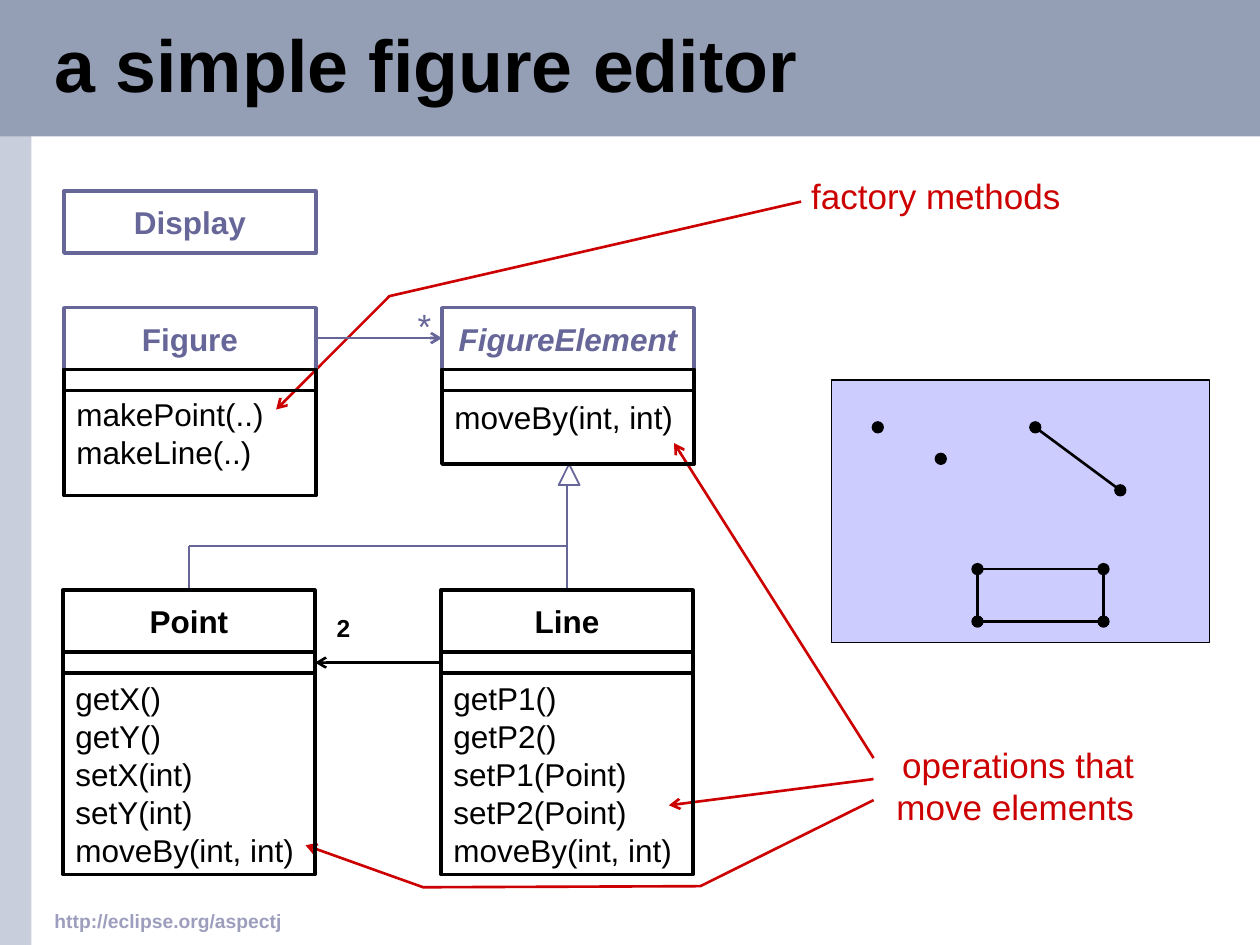
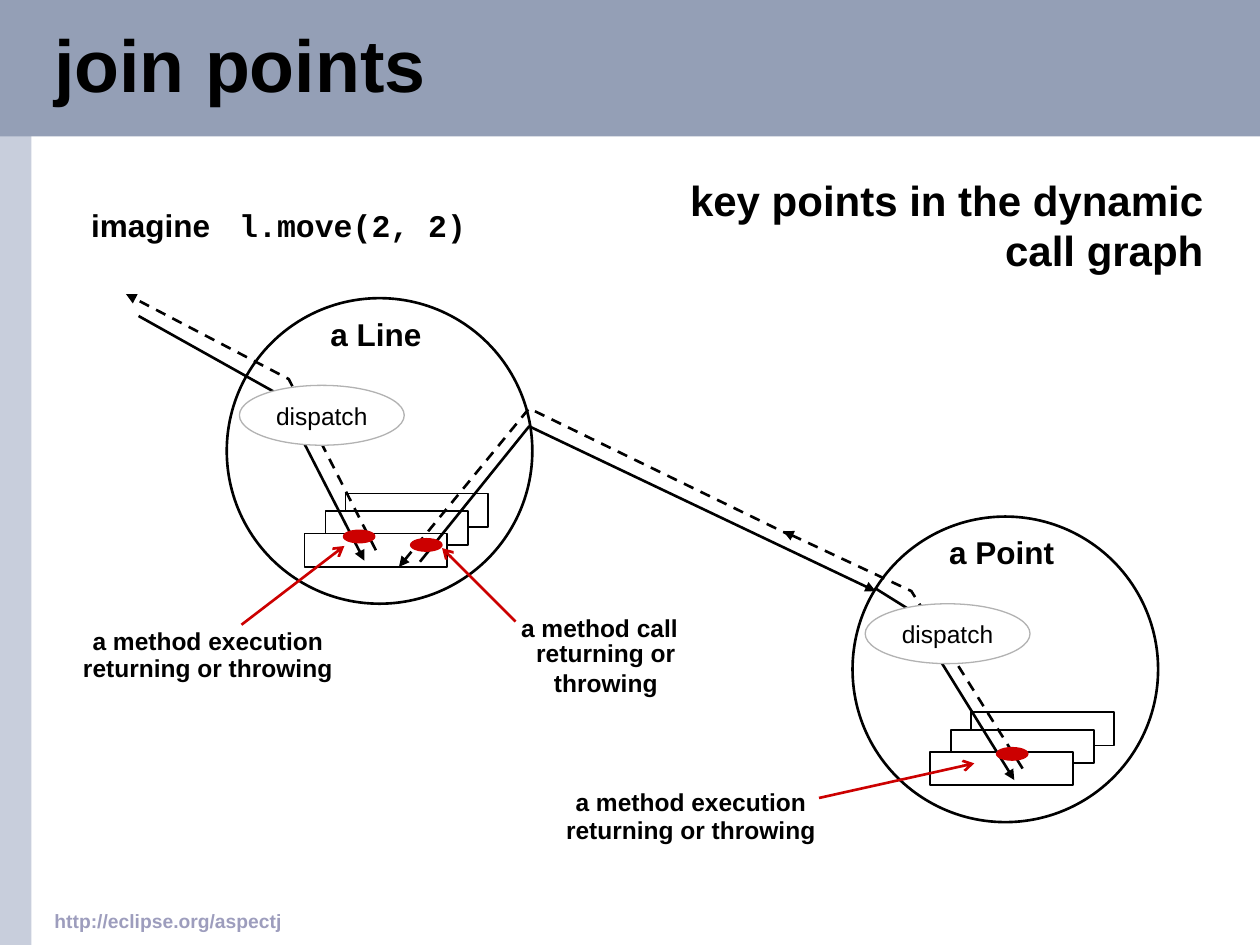
from dataclasses import dataclass
from typing import NamedTuple

from lxml.etree import SubElement
from pptx import Presentation
from pptx.dml.color import RGBColor
from pptx.enum.dml import MSO_LINE
from pptx.enum.shapes import MSO_CONNECTOR, MSO_SHAPE
from pptx.enum.text import MSO_ANCHOR, PP_ALIGN
from pptx.oxml.ns import qn
from pptx.shapes.base import BaseShape
from pptx.slide import Slide
from pptx.text.text import TextFrame
from pptx.util import Emu, Inches, Pt

# The slide is a grid of square cells; every length below counts cells.
COLUMNS, ROWS = 120, 90
CELL = Inches(10) / COLUMNS

BLACK = RGBColor(0x00, 0x00, 0x00)
WHITE = RGBColor(0xFF, 0xFF, 0xFF)
RED = RGBColor(0xCC, 0x00, 0x00)
PURPLE = RGBColor(0x66, 0x66, 0x99)
LILAC = RGBColor(0xCC, 0xCC, 0xFF)
GRAY = RGBColor(0xB2, 0xB2, 0xB2)
TITLE_BAND = RGBColor(0x94, 0x9F, 0xB6)
SIDE_BAND = RGBColor(0xC8, 0xCE, 0xDC)
FOOTER_COLOR = RGBColor(0x9D, 0x9D, 0xBD)

BODY_FONT, CODE_FONT = "Arial", "Courier New"


class Point(NamedTuple):
    x: float
    y: float


class Box(NamedTuple):
    left: float
    top: float
    width: float
    height: float

    def moved(self, origin: Point) -> "Box":
        return Box(self.left + origin.x, self.top + origin.y, self.width, self.height)


@dataclass(frozen=True)
class TextStyle:
    size: float
    color: RGBColor = BLACK
    bold: bool = False
    italic: bool = False
    align: PP_ALIGN = PP_ALIGN.CENTER
    anchor: MSO_ANCHOR = MSO_ANCHOR.TOP
    wrap: bool = True
    line_spacing: float | None = None


TITLE = TextStyle(42, bold=True, align=PP_ALIGN.LEFT, anchor=MSO_ANCHOR.MIDDLE, line_spacing=0.85)
FOOTER = TextStyle(11, FOOTER_COLOR, bold=True, align=PP_ALIGN.LEFT)
RED_NOTE = TextStyle(20, RED, align=PP_ALIGN.RIGHT)
OPERATIONS = TextStyle(18, align=PP_ALIGN.LEFT, anchor=MSO_ANCHOR.MIDDLE)
HEADING = TextStyle(24, bold=True, align=PP_ALIGN.RIGHT)
OBJECT_NAME = TextStyle(18, bold=True)
EXPRESSION = TextStyle(18, bold=True, align=PP_ALIGN.LEFT)
CAPTION = TextStyle(14, bold=True)
DISPATCH = TextStyle(14, anchor=MSO_ANCHOR.MIDDLE, wrap=False)


@dataclass(frozen=True)
class UmlClass:
    name: str
    corner: Point
    color: RGBColor = BLACK
    italic: bool = False
    operations: str = ""
    body_offset: float = 0
    body_height: float = 0


CLASS_WIDTH, NAME_HEIGHT, ATTRIBUTE_HEIGHT = 24, 5.9, 2
CLASSES = (
    UmlClass("Display", Point(6.1, 18.2), PURPLE),
    UmlClass("Point", Point(6, 56.2),
             operations="getX()\ngetY()\nsetX(int)\nsetY(int)\nmoveBy(int, int)",
             body_offset=ATTRIBUTE_HEIGHT, body_height=19.2),
    UmlClass("Line", Point(42, 56.2),
             operations="getP1()\ngetP2()\nsetP1(Point)\nsetP2(Point)\nmoveBy(int, int)",
             body_offset=ATTRIBUTE_HEIGHT, body_height=19.2),
    UmlClass("Figure", Point(6.1, 29.3), PURPLE,
             operations="makePoint(..)\nmakeLine(..)", body_height=12),
    UmlClass("FigureElement", Point(42.1, 29.3), PURPLE, italic=True,
             operations="moveBy(int, int)", body_height=9),
)


@dataclass(frozen=True)
class JoinPoint:
    center: Point
    arrow: tuple[Point, Point]
    captions: tuple[tuple[str, Box], ...]


def execution_captions(left: float, top: float) -> tuple[tuple[str, Box], ...]:
    return (("a method execution", Box(left + 1.3, top, 25, 4)),
            ("returning or throwing", Box(left, top + 2.6, 27.6, 4)))


JOIN_POINTS = (
    JoinPoint(Point(40.6, 51.9), (Point(49.1, 59.2), Point(42.1, 52.2)),
              (("a method call", Box(45.6, 57.8, 23, 4)),
               ("returning or throwing", Box(45.7, 60.2, 24, 6.8)))),
    JoinPoint(Point(34.2, 51.1), (Point(23, 59.5), Point(32.8, 52)), execution_captions(6, 59)),
    JoinPoint(Point(96.4, 71.8), (Point(78, 76), Point(92.8, 72.7)), execution_captions(52, 74.4)),
)

OBJECTS = {"a Line": Point(21.6, 28.4), "a Point": Point(81.2, 49.2)}
CALLS = (
    (Point(40, 53.5), Point(50.4, 40.6), Point(83.4, 56.3)),
    (Point(13.2, 30.1), Point(26.6, 37.6), Point(34.7, 53.4)),
    (Point(83.3, 56), Point(86.5, 58), Point(96.6, 74.3)),
)
RETURNS = (
    (Point(75.5, 51.1), Point(50.4, 38.9), Point(38, 54)),
    (Point(35.8, 52.4), Point(27.5, 36.1), Point(12, 28)),
    (Point(97.4, 73.2), Point(86.8, 56.3), Point(74.6, 50.6)),
)


def cells(count: float) -> Emu:
    return Emu(round(count * CELL))


def write(frame: TextFrame, text: str, style: TextStyle) -> None:
    frame.word_wrap = style.wrap
    frame.vertical_anchor = style.anchor
    frame.text = text
    for paragraph in frame.paragraphs:
        paragraph.alignment = style.align
        paragraph.line_spacing = style.line_spacing
        font = paragraph.font
        font.name, font.size = BODY_FONT, Pt(style.size)
        font.bold, font.italic = style.bold, style.italic
        font.color.rgb = style.color


def add_text(slide: Slide, box: Box, text: str, style: TextStyle) -> TextFrame:
    frame = slide.shapes.add_textbox(*map(cells, box)).text_frame
    write(frame, text, style)
    return frame


def add_preset(slide: Slide, kind: MSO_SHAPE, box: Box, fill: RGBColor | None = None,
               line: RGBColor | None = None, line_width: float = 1) -> BaseShape:
    shape = slide.shapes.add_shape(kind, *map(cells, box))
    shape.shadow.inherit = False
    if fill is None:
        shape.fill.background()
    else:
        shape.fill.solid()
        shape.fill.fore_color.rgb = fill
    if line is None:
        shape.line.fill.background()
    else:
        shape.line.color.rgb = line
        shape.line.width = Pt(line_width)
    return shape


def add_route(slide: Slide, points: tuple[Point, ...], color: RGBColor = BLACK,
              arrowhead: str = "", dashed: bool = False) -> None:
    """Draw a straight connector, or an open outline when the route bends."""
    corners = [(cells(point.x), cells(point.y)) for point in points]
    if len(corners) == 2:
        shape = slide.shapes.add_connector(MSO_CONNECTOR.STRAIGHT, *corners[0], *corners[1])
        SubElement(shape._element.spPr, qn("a:effectLst"))
    else:
        builder = slide.shapes.build_freeform(*corners[0])
        builder.add_line_segments(corners[1:], close=False)
        shape = builder.convert_to_shape()
        shape.shadow.inherit = False
        shape.fill.background()
    shape.line.color.rgb = color
    shape.line.width = Pt(1.5)
    if dashed:
        shape.line.dash_style = MSO_LINE.DASH
    if arrowhead:
        SubElement(shape.line._get_or_add_ln(), qn("a:tailEnd"), type=arrowhead)


def add_dot(slide: Slide, center: Point) -> None:
    box = Box(center.x - 0.5, center.y - 0.5, 1, 1)
    add_preset(slide, MSO_SHAPE.OVAL, box, BLACK, BLACK)


def add_class(slide: Slide, uml: UmlClass) -> None:
    left, top = uml.corner
    name_box = add_preset(slide, MSO_SHAPE.RECTANGLE, Box(left, top, CLASS_WIDTH, NAME_HEIGHT),
                          line=uml.color, line_width=2)
    write(name_box.text_frame, uml.name, TextStyle(
        18, uml.color, bold=True, italic=uml.italic, anchor=MSO_ANCHOR.MIDDLE))
    if not uml.operations:
        return
    top += NAME_HEIGHT
    body = add_preset(slide, MSO_SHAPE.RECTANGLE,
                      Box(left, top + uml.body_offset, CLASS_WIDTH, uml.body_height),
                      line=BLACK, line_width=2)
    write(body.text_frame, uml.operations, OPERATIONS)
    add_preset(slide, MSO_SHAPE.RECTANGLE, Box(left, top, CLASS_WIDTH, ATTRIBUTE_HEIGHT),
               line=BLACK, line_width=2)


def add_object(slide: Slide, name: str, origin: Point) -> None:
    for left, top in ((11.3, 18.6), (9.4, 20.3), (7.4, 22.4)):
        add_preset(slide, MSO_SHAPE.RECTANGLE, Box(left, top, 13.6, 3.2).moved(origin),
                   WHITE, BLACK)
    add_preset(slide, MSO_SHAPE.OVAL, Box(0, 0, 29.1, 29.1).moved(origin),
               line=BLACK, line_width=1.5)
    add_text(slide, Box(6.2, 1, 16, 4.8).moved(origin), name, OBJECT_NAME)


def add_join_point(slide: Slide, join_point: JoinPoint) -> None:
    x, y = join_point.center
    add_preset(slide, MSO_SHAPE.OVAL, Box(x - 1.5, y - 0.6, 3, 1.2), RED, RED, 0.75)
    add_route(slide, join_point.arrow, RED, "arrow")
    for text, box in join_point.captions:
        add_text(slide, box, text, CAPTION)


def add_framed_slide(presentation: Presentation, title: str) -> Slide:
    slide = presentation.slides.add_slide(presentation.slide_layouts[6])
    add_preset(slide, MSO_SHAPE.RECTANGLE, Box(0, 0, 3, ROWS), SIDE_BAND)
    add_preset(slide, MSO_SHAPE.RECTANGLE, Box(0, 0, COLUMNS, 13), TITLE_BAND)
    add_text(slide, Box(4, 0.4, 113, 12.6), title, TITLE)
    add_text(slide, Box(4, 86, 87, 3), "http://eclipse.org/aspectj", FOOTER)
    return slide


def add_drawing_canvas(slide: Slide) -> None:
    add_preset(slide, MSO_SHAPE.RECTANGLE, Box(79.2, 36.2, 36, 25), LILAC, BLACK)
    segment = (Point(98.6, 40.7), Point(106.7, 46.7))
    add_route(slide, segment)
    drawn = Box(93.1, 54.2, 12, 5)
    add_preset(slide, MSO_SHAPE.RECTANGLE, drawn, line=BLACK, line_width=1.5)
    corners = [Point(x, y) for x in (drawn.left, drawn.left + drawn.width)
               for y in (drawn.top, drawn.top + drawn.height)]
    for center in (Point(89.6, 43.7), Point(83.6, 40.7), *segment, *corners):
        add_dot(slide, center)


def build_figure_editor(presentation: Presentation) -> None:
    slide = add_framed_slide(presentation, "a simple figure editor")
    add_drawing_canvas(slide)
    for route in (
        (Point(83.2, 72.2), Point(64.2, 42.2)),
        (Point(83.2, 76.2), Point(66.7, 84.4), Point(40.3, 84.5), Point(29.1, 80.5)),
        (Point(83.2, 74.2), Point(63.7, 76.7)),
        (Point(76.3, 19.2), Point(37.1, 28.2), Point(26.3, 39)),
    ):
        add_route(slide, route, RED, "arrow")
    add_text(slide, Box(82.2, 70.2, 27, 9.2), "operations that move elements", RED_NOTE)
    add_text(slide, Box(75.2, 16, 27, 5.3), "factory methods", RED_NOTE)

    add_route(slide, (Point(30.1, 32.2), Point(42.1, 32.2)), PURPLE, "arrow")
    add_text(slide, Box(38.6, 28.4, 3, 5.3), "*", TextStyle(20, PURPLE, wrap=False))
    add_route(slide, (Point(42, 63.1), Point(30, 63.1)), BLACK, "arrow")
    add_text(slide, Box(30.7, 57.8, 4, 4), "2", TextStyle(14, bold=True, wrap=False))
    for route in ((Point(18, 56), Point(18, 52)), (Point(18, 52), Point(54, 52)),
                  (Point(54, 56), Point(54, 46))):
        add_route(slide, route, PURPLE)
    add_preset(slide, MSO_SHAPE.ISOSCELES_TRIANGLE, Box(53.2, 44.2, 2, 2), WHITE, PURPLE)
    for uml in CLASSES:
        add_class(slide, uml)


def build_join_points(presentation: Presentation) -> None:
    slide = add_framed_slide(presentation, "join points")
    for name, origin in OBJECTS.items():
        add_object(slide, name, origin)
    for route in CALLS:
        add_route(slide, route, arrowhead="triangle")
    for route in RETURNS:
        add_route(slide, route, arrowhead="triangle", dashed=True)
    for origin in OBJECTS.values():
        oval = add_preset(slide, MSO_SHAPE.OVAL, Box(1.2, 8.3, 15.7, 5.7).moved(origin),
                          WHITE, GRAY, 0.75)
        write(oval.text_frame, "dispatch", DISPATCH)
    add_text(slide, Box(38, 16, 77.8, 10.8), "key points in the dynamic\ncall graph", HEADING)
    for join_point in JOIN_POINTS:
        add_join_point(slide, join_point)

    paragraph = add_text(slide, Box(7.5, 19, 41.5, 4.8), "imagine", EXPRESSION).paragraphs[0]
    tab_list = SubElement(paragraph._p.get_or_add_pPr(), qn("a:tabLst"))
    SubElement(tab_list, qn("a:tab"), pos=str(cells(14.1)), algn="l")
    tab_list.getparent().insert(tab_list.getparent().index(tab_list) - 1, tab_list)
    code = paragraph.add_run()
    code.text = "\tl.move(2, 2)"
    code.font.name = CODE_FONT


def main() -> None:
    presentation = Presentation()
    presentation.slide_width, presentation.slide_height = cells(COLUMNS), cells(ROWS)
    build_figure_editor(presentation)
    build_join_points(presentation)
    presentation.save("out.pptx")


if __name__ == "__main__":
    main()
